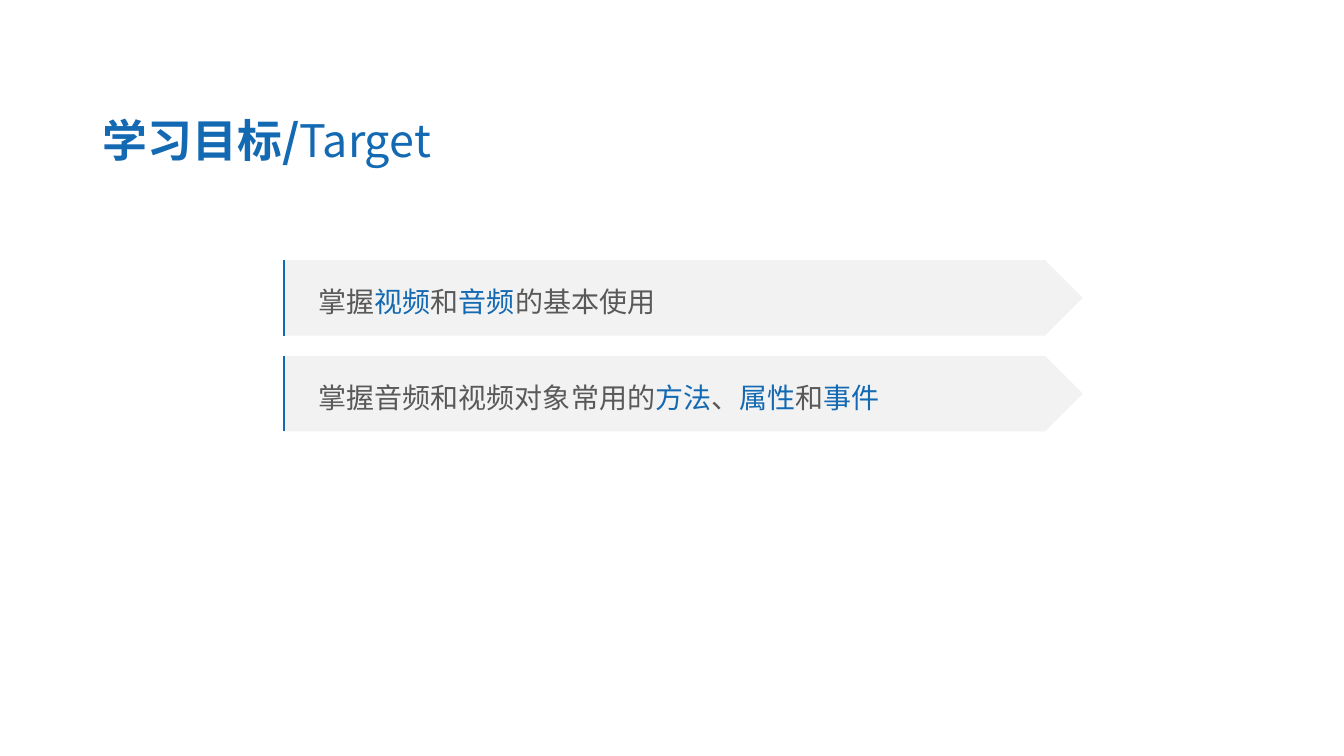
from lxml import etree
from pptx import Presentation
from pptx.dml.color import RGBColor
from pptx.enum.shapes import MSO_CONNECTOR, MSO_SHAPE
from pptx.enum.text import MSO_ANCHOR, PP_ALIGN
from pptx.oxml.ns import qn
from pptx.util import Inches, Pt

STRAIGHT = MSO_CONNECTOR.STRAIGHT
PENTAGON = MSO_SHAPE.PENTAGON
MIDDLE = MSO_ANCHOR.MIDDLE
LEFT = PP_ALIGN.LEFT

BLUE = RGBColor(0x13, 0x69, 0xB2)
GRAY = RGBColor(0x59, 0x59, 0x59)
PALE = RGBColor(0xF2, 0xF2, 0xF2)
FONT = "Noto Sans CJK SC"

# Boxes in inches: left, top, width, height
TITLE_BOX = (0.89, 1.02, 5.22, 0.72)
GOALS_BOX = (2.81, 2.58, 7.93, 1.7)
BAR_HEIGHT = 0.75

# Each goal is a list of (text, colour) pieces
GOALS = [
    [("掌握", GRAY), ("视频", BLUE), ("和", GRAY), ("音频", BLUE),
     ("的基本使用", GRAY)],
    [("掌握音频和视频对象常用的", GRAY), ("方法", BLUE), ("、", GRAY),
     ("属性", BLUE), ("和", GRAY), ("事件", BLUE)],
]


def add_text(paragraph, text, *, size, color, bold=False):
    run = paragraph.add_run()
    run.text = text
    run.font.size = Pt(size)
    run.font.bold = bold
    run.font.color.rgb = color
    run.font.name = FONT
    east_asian = etree.SubElement(run.font._element, qn("a:ea"))
    east_asian.set("typeface", FONT)


def prepare_frame(shape, *, inset_left, inset_top):
    frame = shape.text_frame
    frame.word_wrap = True
    frame.vertical_anchor = MIDDLE
    frame.margin_left = Inches(inset_left)
    frame.margin_top = frame.margin_bottom = Inches(inset_top)
    paragraph = frame.paragraphs[0]
    paragraph.alignment = LEFT
    return paragraph


def add_title(slide, box):
    shape = slide.shapes.add_textbox(*map(Inches, box))
    paragraph = prepare_frame(shape, inset_left=0.13, inset_top=0.07)
    add_text(paragraph, "学习目标/", size=32, color=BLUE, bold=True)
    add_text(paragraph, "Target", size=32, color=BLUE)


def add_goal(slide, box, pieces):
    left, top, width, height = map(Inches, box)

    # Arrow-shaped bar with the goal's text
    bar = slide.shapes.add_shape(PENTAGON, left, top, width, height)
    bar.shadow.inherit = False
    bar.fill.solid()
    bar.fill.fore_color.rgb = PALE
    bar.line.fill.background()
    paragraph = prepare_frame(bar, inset_left=0.35, inset_top=0.05)
    paragraph.line_spacing = 1.2
    for text, color in pieces:
        add_text(paragraph, text, size=20, color=color)

    # Blue rule on the left edge
    edge = left + Inches(0.01)
    rule = slide.shapes.add_connector(STRAIGHT, edge, top + height, edge, top)
    rule.line.color.rgb = BLUE
    rule.line.width = Pt(1.5)
    etree.SubElement(rule._element.spPr, qn("a:effectLst"))


def add_goals(slide, box):
    left, top, width, height = box
    step = (height - BAR_HEIGHT) / (len(GOALS) - 1)
    for index, pieces in enumerate(GOALS):
        bar_box = (left, top + index * step, width, BAR_HEIGHT)
        add_goal(slide, bar_box, pieces)


def main():
    presentation = Presentation()
    presentation.slide_width = Inches(13.33)
    presentation.slide_height = Inches(7.5)
    slide = presentation.slides.add_slide(presentation.slide_layouts[6])
    add_title(slide, TITLE_BOX)
    add_goals(slide, GOALS_BOX)
    presentation.save("out.pptx")


if __name__ == "__main__":
    main()
